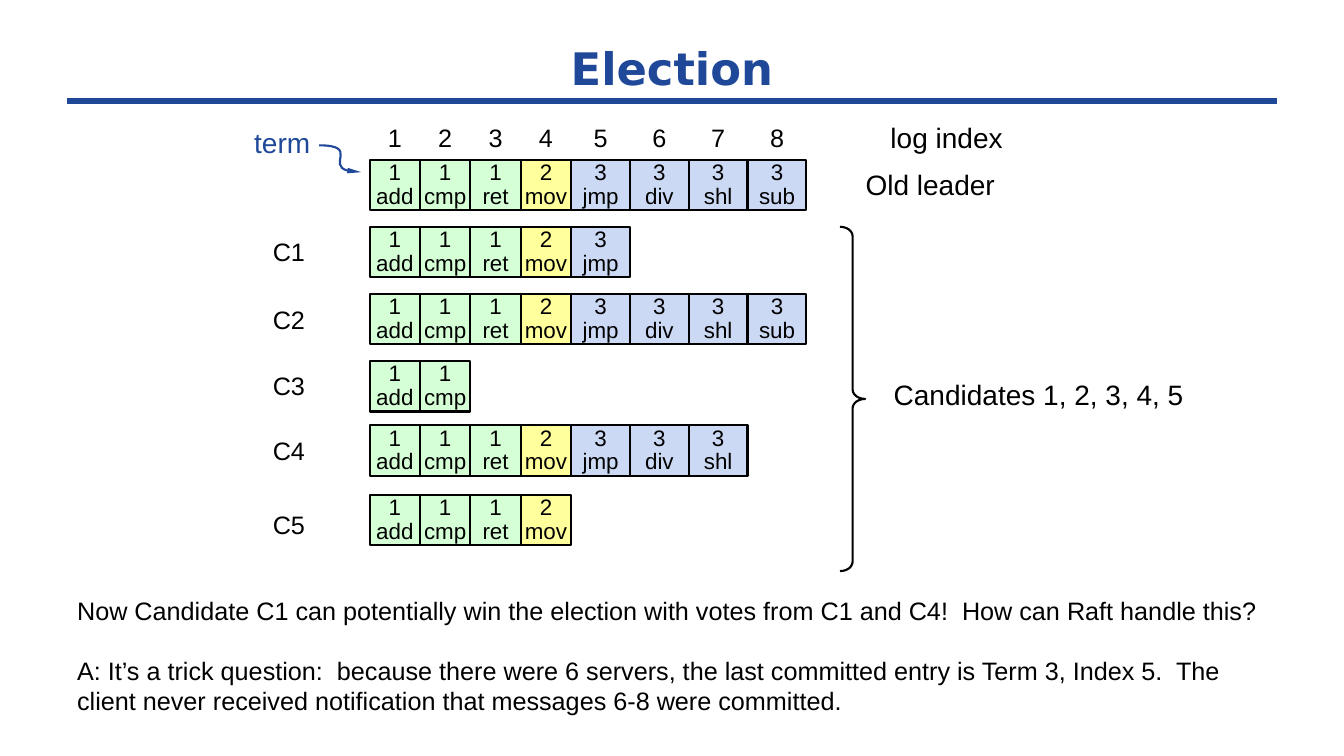
from lxml import etree
from pptx import Presentation, util as u
from pptx.dml.color import RGBColor
from pptx.enum import shapes, text
from pptx.oxml import ns

BLUE = RGBColor(0x1F, 0x48, 0x99)
BLACK = RGBColor(0, 0, 0)
TERM_FILLS = {
    1: RGBColor(0xD5, 0xFF, 0xD5),
    2: RGBColor(0xFF, 0xFF, 0x9B),
    3: RGBColor(0xCC, 0xD9, 0xF4),
}
CENTER, LEFT = text.PP_ALIGN.CENTER, text.PP_ALIGN.LEFT
MIDDLE, TOP = text.MSO_ANCHOR.MIDDLE, text.MSO_ANCHOR.TOP

COLUMNS, ROWS = 160, 90
LOG_LEFT, CELL_HEIGHT = 44, 6
ENTRIES = [(1, "add"), (1, "cmp"), (1, "ret"), (2, "mov"),
           (3, "jmp"), (3, "div"), (3, "shl"), (3, "sub")]
CELL_WIDTHS = [7 if term == 3 else 6 for term, _ in ENTRIES]
CELL_LEFTS = [LOG_LEFT + sum(CELL_WIDTHS[:i]) for i in range(len(ENTRIES))]

LEADER_ROW = 19
# name, row of the log, row of the name, number of entries
CANDIDATES = [("C1", 27, 27.5, 5), ("C2", 35, 35.6, 8), ("C3", 43, 43.5, 2),
              ("C4", 50.64, 51.2, 7), ("C5", 58.92, 60.1, 4)]
# words, left, top, width, colour
CAPTIONS = [("Old leader", 103, 20, 15.5, BLACK),
            ("log index", 106, 14.3, 13.4, BLACK),
            ("Candidates 1, 2, 3, 4, 5", 106.3, 45, 34.7, BLACK),
            ("term", 30.2, 15, 6.8, BLUE)]
QUESTION = ("Now Candidate C1 can potentially win the election with votes "
            "from C1 and C4!  How can Raft handle this?")
ANSWER = ("A: It’s a trick question:  because there were 6 servers, the last "
          "committed entry is Term 3, Index 5.  The client never received "
          "notification that messages 6-8 were committed.")


def write(frame, *paragraphs, size=18, font="Arial", color=BLACK, bold=False,
          align=LEFT, anchor=TOP, inset=None, wrap=True, spacing=None, gap=0):
    """Fill a text frame; a newline inside a paragraph becomes a line break."""
    frame.word_wrap = wrap
    frame.auto_size = text.MSO_AUTO_SIZE.NONE
    frame.vertical_anchor = anchor
    if inset is not None:
        frame.margin_left = frame.margin_right = inset
        frame.margin_top = frame.margin_bottom = inset
    for number, words in enumerate(paragraphs):
        paragraph = frame.add_paragraph() if number else frame.paragraphs[0]
        paragraph.alignment = align
        if spacing:
            paragraph.line_spacing = u.Pt(spacing)
        if number:
            paragraph.space_before = u.Pt(gap)
        for position, line in enumerate(words.split("\n")):
            if position:
                paragraph.add_line_break()
            run = paragraph.add_run()
            run.text = line
            run.font.size = u.Pt(size)
            run.font.name = font
            run.font.bold = bold
            run.font.color.rgb = color


class SlideBuilder:
    """Draws on one slide, with lengths in columns and rows of its grid."""

    def __init__(self, presentation):
        self.column = presentation.slide_width / COLUMNS
        self.row = presentation.slide_height / ROWS
        self.slide = presentation.slides.add_slide(presentation.slide_layouts[5])

    def place(self, *lengths):
        """Turn alternating columns and rows into EMU."""
        return [u.Emu(round(length * (self.row if i % 2 else self.column)))
                for i, length in enumerate(lengths)]

    def outline(self, shape, color=BLACK, width=1.5):
        shape.line.color.rgb = color
        shape.line.width = u.Pt(width)

    def title(self, words, *box):
        title = self.slide.shapes.title
        title.left, title.top, title.width, title.height = self.place(*box)
        write(title.text_frame, words, size=32, font="DejaVu Sans",
              color=BLUE, bold=True, align=CENTER, anchor=MIDDLE)

    def rule(self, *ends):
        rule = self.slide.shapes.add_connector(
            shapes.MSO_CONNECTOR.STRAIGHT, *self.place(*ends))
        self.outline(rule, BLUE, 4)
        etree.SubElement(rule._element.spPr, ns.qn("a:effectLst"))

    def label(self, box, *paragraphs, **style):
        label = self.slide.shapes.add_textbox(*self.place(*box))
        write(label.text_frame, *paragraphs, **style)

    def preset(self, kind, box, fill=None):
        shape = self.slide.shapes.add_shape(kind, *self.place(*box))
        shape.shadow.inherit = False
        if fill is None:
            shape.fill.background()
        else:
            shape.fill.solid()
            shape.fill.fore_color.rgb = fill
        self.outline(shape)
        return shape

    def log(self, top, length):
        """Draw the first entries of the log as a row of cells."""
        for (term, command), left, width in zip(
                ENTRIES[:length], CELL_LEFTS, CELL_WIDTHS):
            cell = self.preset(shapes.MSO_SHAPE.RECTANGLE,
                               (left, top, width, CELL_HEIGHT), TERM_FILLS[term])
            write(cell.text_frame, f"{term}\n{command}", size=16, align=CENTER,
                  anchor=MIDDLE, inset=0, spacing=17)

    def brace(self, *box):
        brace = self.preset(shapes.MSO_SHAPE.RIGHT_BRACE, box)
        brace.adjustments[0] = 0.372

    def curved_arrow(self, start, *bezier):
        """Draw a cubic curve through two control points to an end point."""
        builder = self.slide.shapes.build_freeform(*self.place(*start), scale=1.0)
        builder.add_line_segments([self.place(*p) for p in bezier], close=False)
        arrow = builder.convert_to_shape()
        arrow.shadow.inherit = False
        arrow.fill.background()
        self.outline(arrow, BLUE)
        segments = list(arrow._element.iter(ns.qn("a:lnTo")))
        curve = etree.SubElement(segments[0].getparent(), ns.qn("a:cubicBezTo"))
        for segment in segments:
            curve.append(segment[0])
            segment.getparent().remove(segment)
        etree.SubElement(arrow.line._get_or_add_ln(), ns.qn("a:tailEnd"),
                         type="triangle", w="sm", len="lg")


def main():
    presentation = Presentation()
    presentation.slide_width = u.Inches(13.33)
    presentation.slide_height = u.Inches(7.5)
    builder = SlideBuilder(presentation)

    builder.rule(8, 12, 152, 12)
    builder.title("Election", 8, 4, 144, 8)
    for index, (left, width) in enumerate(zip(CELL_LEFTS, CELL_WIDTHS), 1):
        builder.label((left, 14, width, 4.8), str(index), align=CENTER)
    builder.log(LEADER_ROW, len(ENTRIES))
    for name, top, name_top, length in CANDIDATES:
        builder.log(top, length)
        builder.label((31.3, name_top, 10, 4.8), name)
    for words, left, top, width, color in CAPTIONS:
        builder.label((left, top, width, 4.1), words, size=20, color=color,
                      align=CENTER, inset=0, wrap=False)
    builder.brace(100, 27, 3, 41)
    builder.curved_arrow((38, 17.3), (42.8, 17.3), (37.7, 20.4), (43, 20.5))
    builder.label((8, 70.3, 144, 15.7), QUESTION, ANSWER, gap=21)

    presentation.save("out.pptx")


if __name__ == "__main__":
    main()
